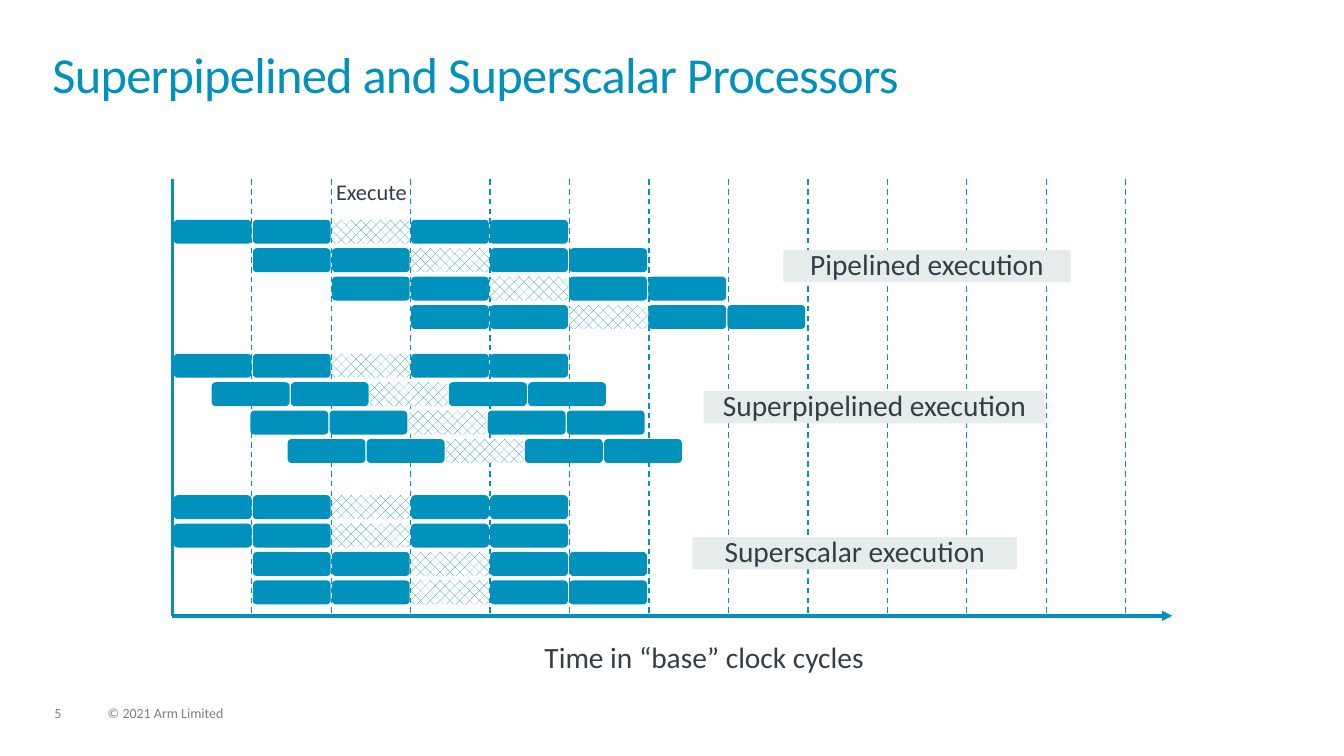
import pptx
import pptx.util
import pptx.dml.color
import pptx.enum.dml
import pptx.enum.shapes
import pptx.enum.text
import pptx.oxml.ns
from lxml import etree

Pt = pptx.util.Pt
SHAPE = pptx.enum.shapes.MSO_SHAPE
ALIGN = pptx.enum.text.PP_ALIGN

# Content: each group has a name, the top of its first row,
# the start of each row in cycles, and the box of its label
GROUPS = [
    ("Pipelined execution", 157, (0, 1, 2, 3), (559.5, 178.6, 205.2, 23)),
    ("Superpipelined execution", 252.7, (0, 0.48, 0.97, 1.44), (502.6, 279.4, 244, 23)),
    ("Superscalar execution", 353.7, (0, 0, 1, 1), (494.6, 383.8, 231.8, 23)),
]
STAGES = 5
EXECUTE = 2
CYCLES = 12

# Text, box, size, colour, alignment, space after
NOTES = [
    ("5", (38.9, 504.7, 24.5, 10.8), "small", "grey", ALIGN.LEFT),
    ("© 2021 Arm Limited", (77, 504.7, 365, 10.8), "small", "grey", ALIGN.LEFT),
    ("Execute", (192.2, 129.6, 146.2, 17.3), "tag", "dark", ALIGN.CENTER),
    ("Time in “base” clock cycles", (344.2, 459.4, 317.5, 23), "label", "dark", ALIGN.CENTER),
]

THEME = {
    "font": "Calibri",
    "blue": "0091BD", "dark": "333E48", "grey": "7F7F7F",
    "pale": "E5ECEB", "white": "FFFFFF",
    "title": 36, "label": 21, "tag": 16, "small": 10,
}

# Chart frame
LEFT, RIGHT = 123.1, 837.4
TOP, BASE = 128.2, 439.9
CYCLE = 56.75
BAR_LEFT, BAR_STEP, ROW_STEP = 124.1, 56.5, 20.3
BAR_W, BAR_H = 55.6, 17.1

deck = pptx.Presentation()
deck.slide_width, deck.slide_height = Pt(960), Pt(540)
slide = deck.slides.add_slide(deck.slide_layouts[6])


def tint(name):
    return pptx.dml.color.RGBColor.from_string(THEME[name])


def add_line(start, end, width):
    line = slide.shapes.add_connector(
        pptx.enum.shapes.MSO_CONNECTOR.STRAIGHT, *map(Pt, start + end))
    line.line.color.rgb = tint("blue")
    line.line.width = Pt(width)
    etree.SubElement(line._element.spPr, pptx.oxml.ns.qn("a:effectLst"))
    return line


def add_block(kind, box):
    block = slide.shapes.add_shape(kind, *map(Pt, box))
    block.shadow.inherit = False
    block.line.fill.background()
    return block


def write(shape, text, size, color, align, spacing=0.9, after=6):
    frame = shape.text_frame
    frame.word_wrap = True
    frame.vertical_anchor = pptx.enum.text.MSO_ANCHOR.TOP
    frame.margin_left = frame.margin_right = 0
    frame.margin_top = frame.margin_bottom = 0
    frame.text = text
    para = frame.paragraphs[0]
    para.alignment = align
    para.line_spacing = spacing
    para.space_after = Pt(after)
    run = para.runs[0]
    run.font.name = THEME["font"]
    run.font.size = Pt(THEME[size])
    run.font.color.rgb = tint(color)
    return run


def add_text(box):
    return slide.shapes.add_textbox(*map(Pt, box))


# Title
title = write(add_text((37.4, 37.4, 884.2, 51.8)),
              "Superpipelined and Superscalar Processors",
              "title", "blue", ALIGN.LEFT, 0.85, 0)
title._r.get_or_add_rPr().set("spc", "-50")

# Axes
add_line((LEFT, TOP), (LEFT, BASE), 2.5)
axis = add_line((LEFT, BASE), (RIGHT, BASE), 2.5)
etree.SubElement(axis.line._get_or_add_ln(), pptx.oxml.ns.qn("a:tailEnd"), type="triangle")

# Clock cycle lines
for cycle in range(1, CYCLES + 1):
    x = LEFT + cycle * CYCLE
    tick = add_line((x, TOP), (x, BASE), 1)
    tick.line.dash_style = pptx.enum.dml.MSO_LINE.DASH

# Instruction bars and group labels
for name, top, starts, box in GROUPS:
    for row, start in enumerate(starts):
        for stage in range(STAGES):
            x = BAR_LEFT + (start + stage) * BAR_STEP
            bar = add_block(SHAPE.ROUNDED_RECTANGLE,
                            (x, top + row * ROW_STEP, BAR_W, BAR_H))
            if stage == EXECUTE:
                bar.fill.patterned()
                bar.fill.pattern = pptx.enum.dml.MSO_PATTERN.PERCENT_30
                bar.fill.fore_color.rgb = tint("blue")
                bar.fill.back_color.rgb = tint("white")
            else:
                bar.fill.solid()
                bar.fill.fore_color.rgb = tint("blue")
    label = add_block(SHAPE.RECTANGLE, box)
    label.fill.solid()
    label.fill.fore_color.rgb = tint("pale")
    write(label, name, "label", "dark", ALIGN.CENTER)

# Captions and footer
for text, box, size, color, align in NOTES:
    write(add_text(box), text, size, color, align)

deck.save("out.pptx")
